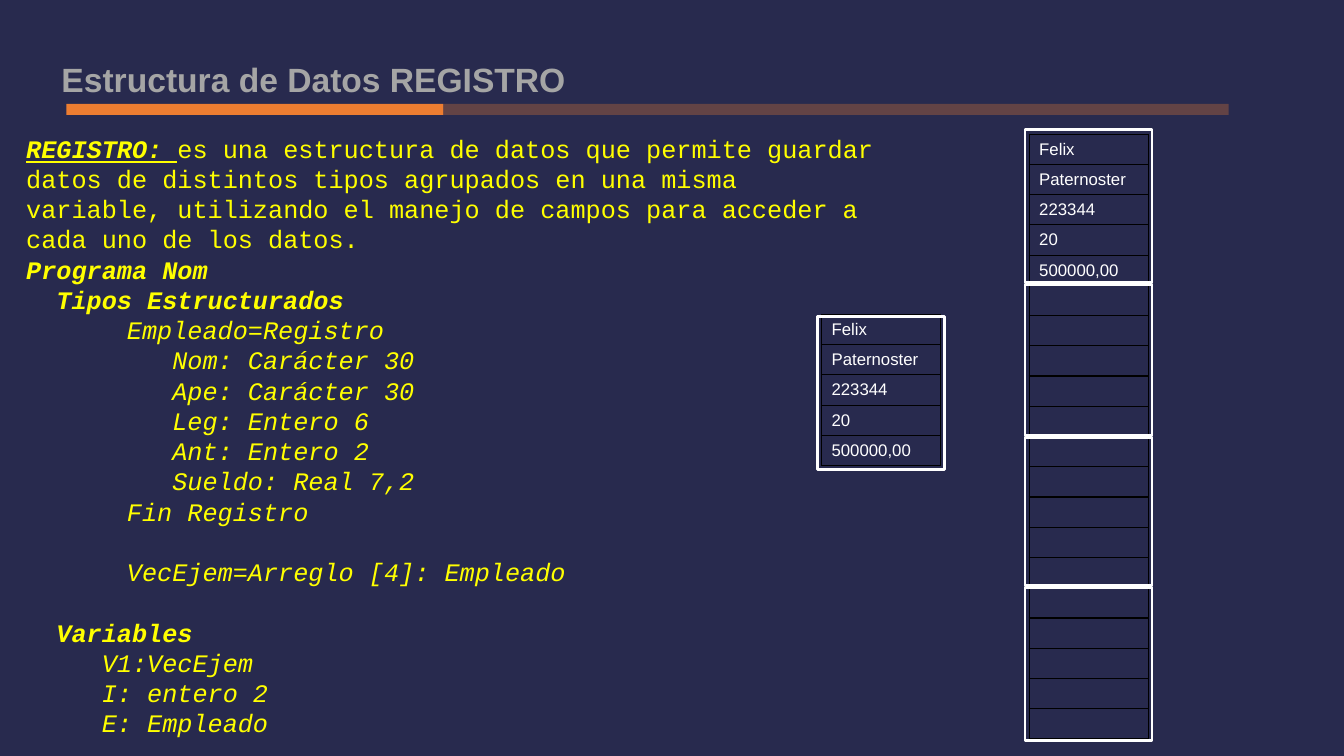
from pptx import Presentation
from pptx.dml.color import RGBColor
from pptx.enum.shapes import MSO_SHAPE as Shape
from pptx.enum.text import MSO_ANCHOR as Anchor, MSO_AUTO_SIZE as AutoSize, PP_ALIGN as Align
from pptx.oxml.ns import qn
from pptx.util import Pt
from lxml.etree import SubElement


def paint(target, color):
    target.solid()
    target.fore_color.rgb = RGBColor.from_string(color)


def add_box(left, top, width, height):
    shape = slide.shapes.add_shape(Shape.RECTANGLE, Pt(left), Pt(top), Pt(width), Pt(height))
    shape.shadow.inherit = False
    return shape


presentation = Presentation()
presentation.slide_width, presentation.slide_height = Pt(960), Pt(540)
slide = presentation.slides.add_slide(presentation.slide_layouts[1])
paint(slide.background.fill, "282A4E")

title, body = slide.placeholders
title.left, title.top, title.width, title.height = Pt(36.7), Pt(38.2), Pt(844), Pt(36)
title.text_frame.text = "Estructura de Datos REGISTRO"
title.text_frame.auto_size = AutoSize.NONE
title.text_frame.vertical_anchor = Anchor.MIDDLE
paragraph = title.text_frame.paragraphs[0]
paragraph.alignment = Align.LEFT
paragraph.font.name, paragraph.font.size, paragraph.font.bold = "Arial", Pt(24), True
paint(paragraph.font.fill, "A5A5A5")

for left, width, opacity in [(47.5, 269.3, 100), (316.8, 560.9, 30)]:
    bar = add_box(left, 74.2, width, 7.9)
    paint(bar.fill, "ED7D31")
    bar.line.fill.background()
    if opacity < 100:
        color = bar.fill._xPr.find(qn("a:solidFill"))[0]
        SubElement(color, qn("a:alpha"), val=str(opacity * 1000))

definition = (
    "es una estructura de datos que permite guardar datos de distintos tipos agrupados "
    "en una misma variable, utilizando el manejo de campos para acceder a cada uno de los datos."
)
LINE = 21.6
lines = [
    ("", 0, False, 0),
    ("Programa Nom", 0, True, 0),
    ("Tipos Estructurados", 21.6, True, 0),
    ("Empleado=Registro", 72, False, 0),
    ("Nom: Carácter 30", 104.4, False, 0),
    ("Ape: Carácter 30", 104.4, False, 0),
    ("Leg: Entero 6", 104.4, False, 0),
    ("Ant: Entero 2", 104.4, False, 0),
    ("Sueldo: Real 7,2", 104.4, False, 0),
    ("Fin Registro", 72, False, 0),
    ("VecEjem=Arreglo [4]: Empleado", 72, False, LINE),
    ("Variables", 21.6, True, LINE),
    ("V1:VecEjem", 54, False, 0),
    ("I: entero 2", 54, False, 0),
    ("E: Empleado", 54, False, 0),
]
body.left, body.top, body.width, body.height = Pt(11.5), Pt(91.4), Pt(621.4), Pt(443.5)
frame = body.text_frame
frame.auto_size = AutoSize.NONE
frame.text = "\n".join(text for text, *_ in lines)
for paragraph, (text, indent, bold, gap) in zip(frame.paragraphs, lines):
    properties = paragraph._p.get_or_add_pPr()
    properties.set("marL", str(Pt(indent)))
    properties.set("indent", "0")
    paragraph.line_spacing, paragraph.space_before = Pt(LINE), Pt(gap)
    SubElement(properties, qn("a:buNone"))
    paragraph.font.name, paragraph.font.size = "Courier New", Pt(18)
    paragraph.font.bold, paragraph.font.italic = bold, bool(text)
    paint(paragraph.font.fill, "FFFF00")

term = frame.paragraphs[0].add_run()
term.text = "REGISTRO: "
term.font.bold = term.font.italic = term.font.underline = True
frame.paragraphs[0].add_run().text = definition

employee = ["Felix", "Paternoster", "223344", "20", "500000,00"]
for left, top, row_count in [(735.1, 95.8, 20), (586.8, 224.6, 5)]:
    graphic = slide.shapes.add_table(row_count, 1, Pt(left), Pt(top), Pt(85), Pt(LINE * row_count))
    table = graphic.table
    table.first_row = table.horz_banding = False
    for index, row in enumerate(table.rows):
        row.height = Pt(LINE)
        cell = row.cells[0]
        cell.margin_top = cell.margin_bottom = 0
        cell.vertical_anchor = Anchor.MIDDLE
        if index < len(employee):
            cell.text = employee[index]
        paragraph = cell.text_frame.paragraphs[0]
        paragraph.font.name, paragraph.font.size = "Arial", Pt(12)
        paint(paragraph.font.fill, "FFFFFF")
        properties = cell._tc.get_or_add_tcPr()
        for side in ("a:lnL", "a:lnR", "a:lnT", "a:lnB"):
            border = SubElement(properties, qn(side), w=str(Pt(1)))
            SubElement(SubElement(border, qn("a:solidFill")), qn("a:srgbClr"), val="000000")
        cell.fill.background()

frames = [
    (732.2, 92.2, 109.4),
    (732.2, 203, 108),
    (732.2, 312.5, 105.8),
    (732.2, 419.8, 109.4),
    (583.9, 226.1, 109.4),
]
for left, top, height in frames:
    record = add_box(left, top, 90.7, height)
    record.fill.background()
    paint(record.line.fill, "FFFFFF")
    record.line.width = Pt(2)

presentation.save("out.pptx")
